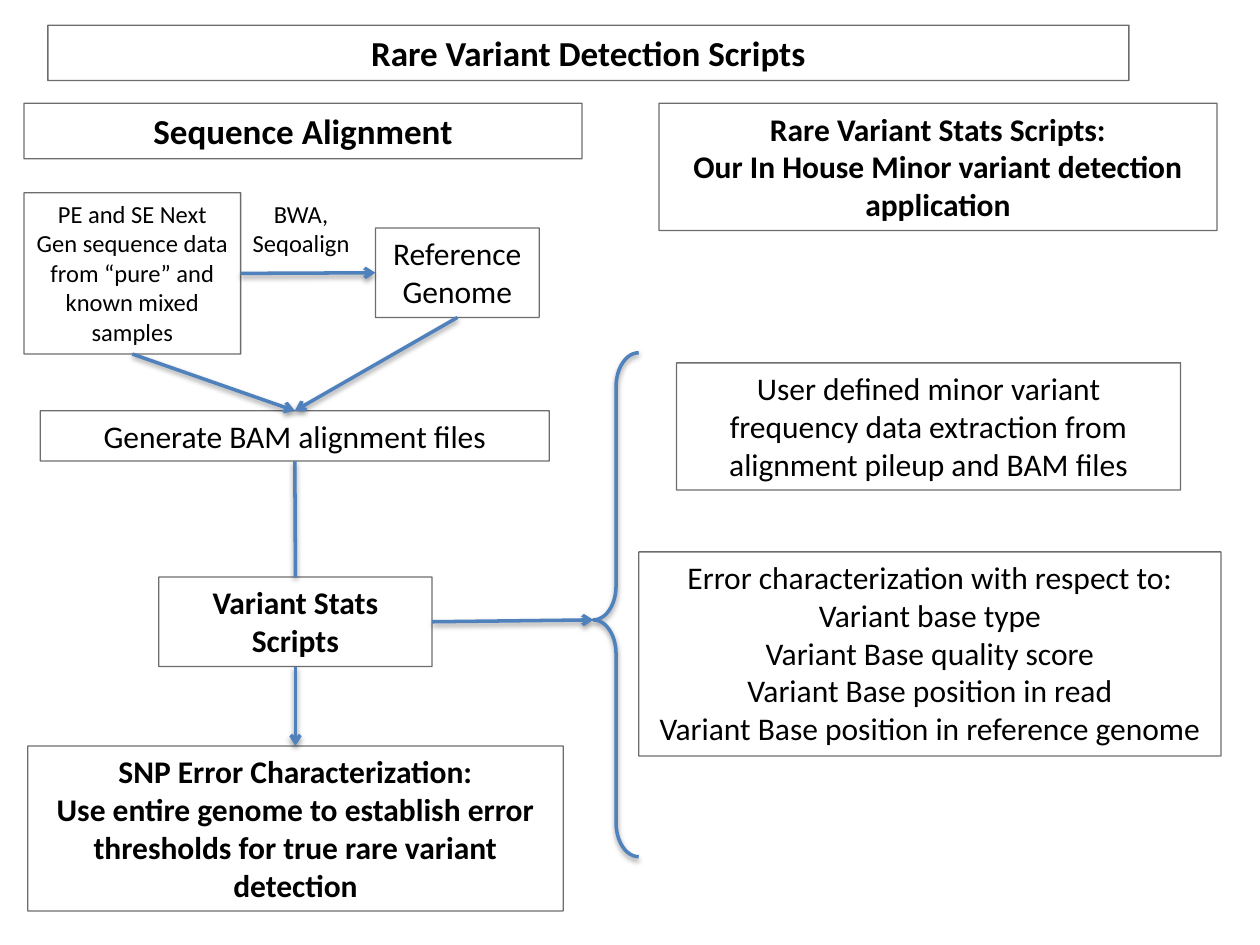
from lxml import etree
from pptx import Presentation
from pptx.dml.color import RGBColor
from pptx.enum.shapes import MSO_CONNECTOR, MSO_SHAPE
from pptx.enum.text import MSO_ANCHOR, PP_ALIGN
from pptx.oxml.ns import qn
from pptx.util import Inches, Pt

FONT = "Calibri"
BLACK, OUTLINE, BLUE = "000000", "0D0D0D", "4F81BD"
TOP, LEFT, BOTTOM, RIGHT = range(4)  # connection sites of a rectangle


def color(hex_string):
    return RGBColor.from_string(hex_string)


def add_child(parent, tag, **attributes):
    return etree.SubElement(parent, qn(tag), attributes)


def write(shape, lines, size, bold=False):
    frame = shape.text_frame
    frame.text = "\n".join(lines)
    frame.vertical_anchor = MSO_ANCHOR.TOP
    for paragraph in frame.paragraphs:
        paragraph.alignment = PP_ALIGN.CENTER
        for run in paragraph.runs:
            run.font.name = FONT
            run.font.size = Pt(size)
            run.font.bold = bold
            run.font.color.rgb = color(BLACK)


def add_box(slide, left, top, width, height, lines, size=18, bold=False):
    shape = slide.shapes.add_shape(MSO_SHAPE.RECTANGLE, Inches(left), Inches(top),
                                   Inches(width), Inches(height))
    shape.shadow.inherit = False
    shape.fill.background()
    shape.line.color.rgb = color(OUTLINE)
    shape.line.width = Pt(0.75)
    add_child(shape.line._ln.find(".//" + qn("a:srgbClr")), "a:alpha", val="60000")
    shape.text_frame.word_wrap = True
    write(shape, lines, size, bold)
    return shape


def style_blue_line(shape):
    """Blue 2 pt line with a soft shadow below it."""
    shape.line.color.rgb = color(BLUE)
    shape.line.width = Pt(2)
    effects = add_child(shape._element.spPr, "a:effectLst")
    shadow = add_child(effects, "a:outerShdw", blurRad=str(Pt(3.1)), dist=str(Pt(1.6)),
                       dir="5400000", rotWithShape="0")
    add_child(add_child(shadow, "a:srgbClr", val=BLACK), "a:alpha", val="38000")


def connect(slide, start, start_site, end, end_site, arrow=True):
    connector = slide.shapes.add_connector(MSO_CONNECTOR.STRAIGHT, 0, 0, 0, 0)
    connector.begin_connect(start, start_site)
    if end_site is None:  # end is a plain point
        connector.end_x, connector.end_y = end
    else:
        connector.end_connect(end, end_site)
    style_blue_line(connector)
    if arrow:
        add_child(connector.line._ln, "a:tailEnd", type="arrow")


def add_title(slide, left, top, width, height):
    add_box(slide, left, top, width, height, ["Rare Variant Detection Scripts"], 20, True)


def add_alignment_flow(slide, left, top):
    """Left column; returns the box that leads to the right column."""
    add_box(slide, left, top, 4.43, 0.44, ["Sequence Alignment"], 20, True)
    samples = add_box(slide, left, top + 0.71, 1.72, 1.28,
                      ["PE and SE Next Gen sequence data from “pure” and known mixed samples"], 14)
    genome = add_box(slide, left + 2.79, top + 0.99, 1.3, 0.71, ["Reference Genome"])
    alignment = add_box(slide, left + 0.13, top + 2.44, 4.04, 0.4,
                        ["Generate BAM alignment files"])
    stats = add_box(slide, left + 1.07, top + 3.76, 2.17, 0.71, ["Variant Stats Scripts"], 18, True)
    errors = add_box(slide, left + 0.03, top + 5.1, 4.25, 1.31,
                     ["SNP Error Characterization:",
                      "Use entire genome to establish error thresholds for true rare variant detection"],
                     18, True)

    # Aligner names above the first arrow
    label = slide.shapes.add_textbox(Inches(left + 1.7), Inches(top + 0.71), Inches(1), Inches(0.81))
    label.text_frame.word_wrap = False
    write(label, ["BWA,", "Seqoalign"], 14)

    connect(slide, samples, RIGHT, genome, LEFT)
    connect(slide, samples, BOTTOM, alignment, TOP)
    connect(slide, genome, BOTTOM, alignment, TOP)
    connect(slide, alignment, BOTTOM, stats, TOP, arrow=False)
    connect(slide, stats, BOTTOM, errors, TOP)
    return stats


def add_stats_details(slide, left, top, source):
    """Right column with the brace that source points to."""
    add_box(slide, left + 0.52, top, 4.43, 1.01,
            ["Rare Variant Stats Scripts:",
             "Our In House Minor variant detection application"], 18, True)
    add_box(slide, left + 0.66, top + 2.06, 4, 1.01,
            ["User defined minor variant frequency data extraction from alignment pileup and BAM files"])
    add_box(slide, left + 0.36, top + 3.56, 4.62, 1.62,
            ["Error characterization with respect to:", "Variant base type",
             "Variant Base quality score", "Variant Base position in read",
             "Variant Base position in reference genome"])

    brace_top, brace_height, tip = top + 1.98, 4, 0.53
    brace = slide.shapes.add_shape(MSO_SHAPE.LEFT_BRACE, Inches(left), Inches(brace_top),
                                   Inches(0.36), Inches(brace_height))
    brace.adjustments[0], brace.adjustments[1] = 0.75, tip
    brace.fill.background()
    style_blue_line(brace)
    connect(slide, source, RIGHT,
            (Inches(left), Inches(brace_top + brace_height * tip)), None)


presentation = Presentation()
presentation.slide_width, presentation.slide_height = Inches(10), Inches(7.5)
slide = presentation.slides.add_slide(presentation.slide_layouts[6])
add_title(slide, 0.38, 0.2, 8.58, 0.44)
stats_box = add_alignment_flow(slide, 0.19, 0.82)
add_stats_details(slide, 4.71, 0.82, stats_box)
presentation.save("out.pptx")
